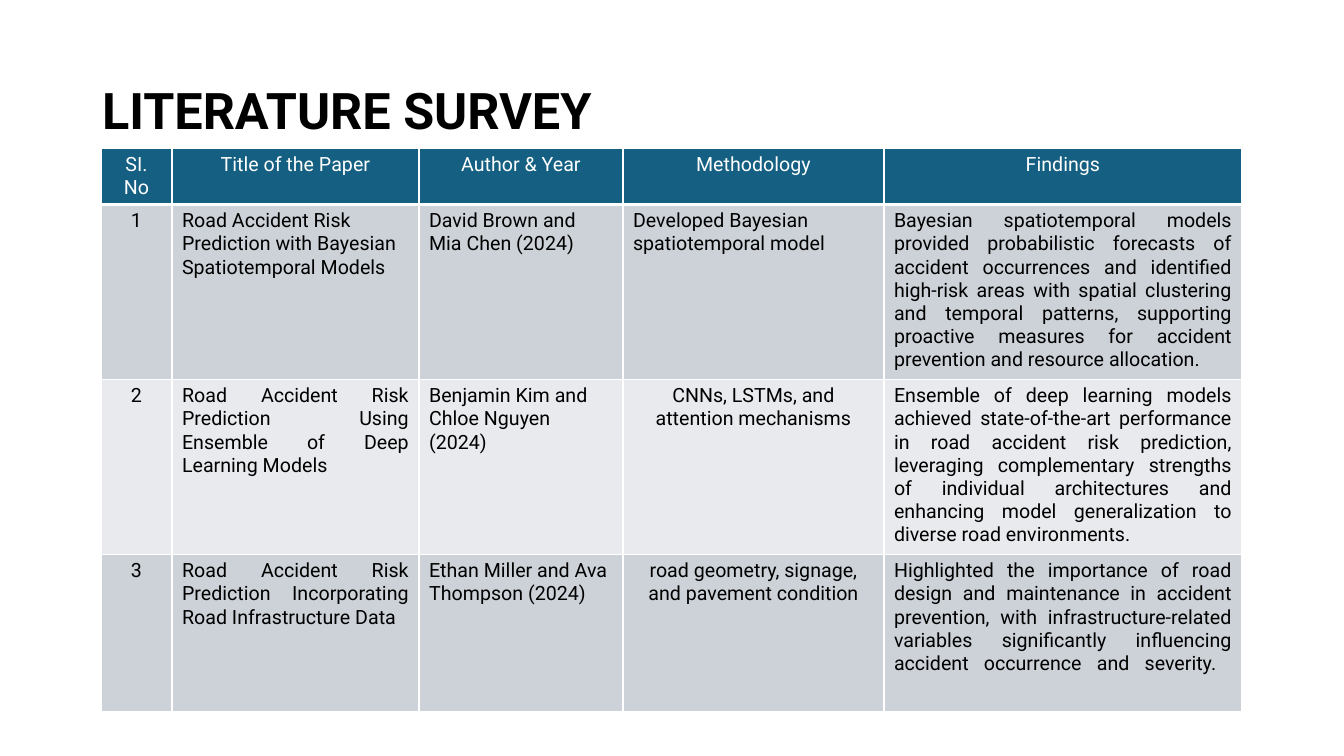
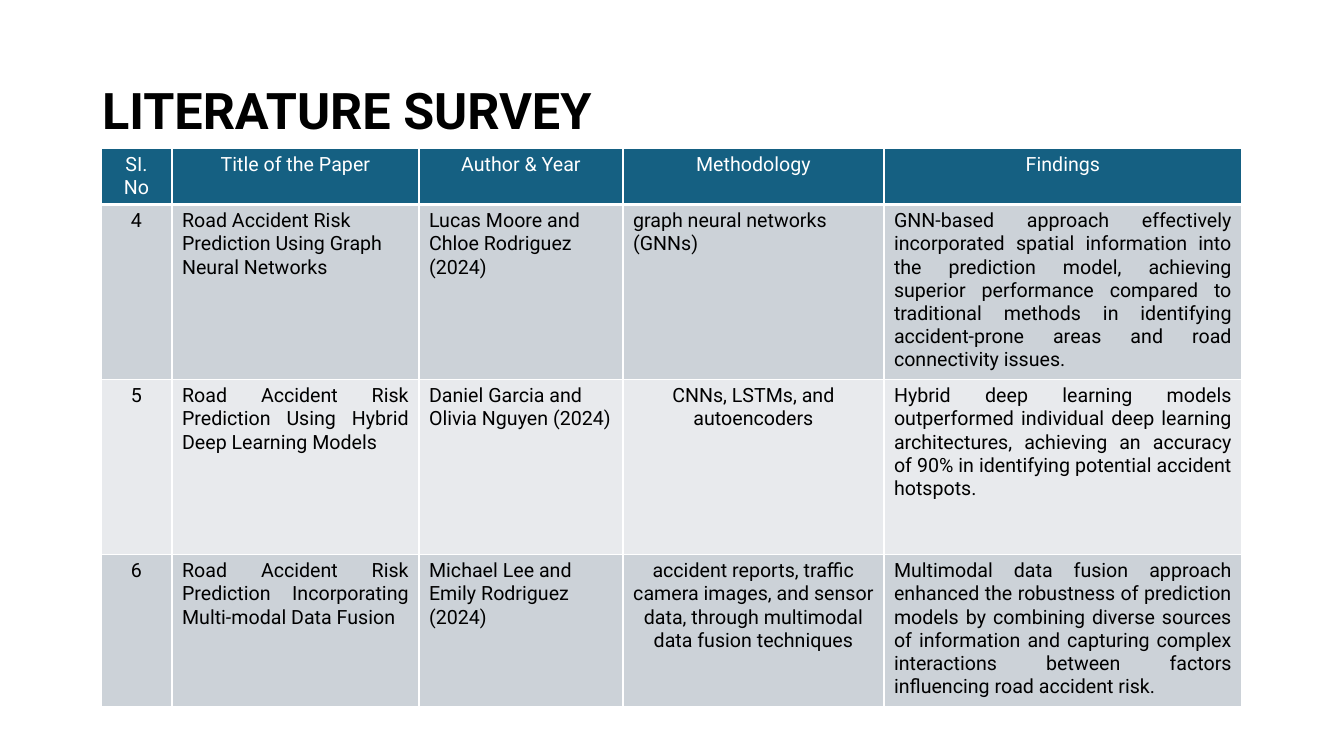
from pptx import Presentation
from pptx.dml.color import RGBColor
from pptx.enum.text import MSO_ANCHOR, MSO_AUTO_SIZE, PP_ALIGN
from pptx.oxml.ns import qn
from pptx.util import Emu, Pt
from lxml.etree import SubElement

SLIDE_WIDTH, SLIDE_HEIGHT = 1344, 756
EMU_PER_PX = 12192000 / SLIDE_WIDTH
COLORS = {
    "header": "156082",
    "dark band": "CCD2D8",
    "light band": "E8EAED",
    "white": "FFFFFF",
    "black": "000000",
}
TITLE_BOX = {"left": 92, "top": 40, "width": 1160, "height": 146}
TITLE_FONT = {"name": "Roboto", "size": Pt(36), "bold": True}
CELL_FONT = {"name": "Roboto", "size": Pt(14), "bold": False}

TABLE_LEFT, TABLE_TOP = 101, 148
COLUMN_WIDTHS = [71, 247, 204, 261, 358]
ROW_HEIGHTS = [56, 175, 175, 152]
HEADINGS = ["SI. No", "Title of the Paper", "Author & Year", "Methodology", "Findings"]

LEFT, CENTER, JUSTIFY = PP_ALIGN.LEFT, PP_ALIGN.CENTER, PP_ALIGN.JUSTIFY
ROW_ALIGNMENTS = [
    [CENTER] * 5,
    [CENTER, LEFT, LEFT, LEFT, JUSTIFY],
    [CENTER, JUSTIFY, LEFT, CENTER, JUSTIFY],
    [CENTER, JUSTIFY, LEFT, CENTER, JUSTIFY],
]
ROW_FILLS = ["header", "dark band", "light band", "dark band"]

SURVEY_PAGES = [
    [
        ["1", "Road Accident Risk Prediction with Bayesian Spatiotemporal Models",
         "David Brown and Mia Chen (2024)",
         "Developed Bayesian spatiotemporal model",
         "Bayesian spatiotemporal models provided probabilistic forecasts of accident "
         "occurrences and identified high-risk areas with spatial clustering and temporal "
         "patterns, supporting proactive measures for accident prevention and resource "
         "allocation."],
        ["2", "Road Accident Risk Prediction Using Ensemble of Deep Learning Models",
         "Benjamin Kim and Chloe Nguyen (2024)",
         "CNNs, LSTMs, and attention mechanisms",
         "Ensemble of deep learning models achieved state-of-the-art performance in road "
         "accident risk prediction, leveraging complementary strengths of individual "
         "architectures and enhancing model generalization to diverse road environments."],
        ["3", "Road Accident Risk Prediction Incorporating Road Infrastructure Data",
         "Ethan Miller and Ava Thompson (2024)",
         "road geometry, signage, and pavement condition",
         "Highlighted the importance of road design and maintenance in accident prevention, "
         "with infrastructure-related variables significantly influencing accident "
         "occurrence and severity. \v"],
    ],
    [
        ["4", "Road Accident Risk Prediction Using Graph Neural Networks",
         "Lucas Moore and Chloe Rodriguez (2024)",
         "graph neural networks (GNNs)",
         "GNN-based approach effectively incorporated spatial information into the "
         "prediction model, achieving superior performance compared to traditional methods "
         "in identifying accident-prone areas and road connectivity issues."],
        ["5", "Road Accident Risk Prediction Using Hybrid Deep Learning Models",
         "Daniel Garcia and Olivia Nguyen (2024)",
         "CNNs, LSTMs, and autoencoders",
         "Hybrid deep learning models outperformed individual deep learning architectures, "
         "achieving an accuracy of 90% in identifying potential accident hotspots."],
        ["6", "Road Accident Risk Prediction Incorporating Multi-modal Data Fusion",
         "Michael Lee and Emily Rodriguez (2024)",
         "accident reports, traffic camera images, and sensor data, through multimodal data "
         "fusion techniques",
         "Multimodal data fusion approach enhanced the robustness of prediction models by "
         "combining diverse sources of information and capturing complex interactions "
         "between factors influencing road accident risk."],
    ],
]


def px(length):
    return Emu(round(length * EMU_PER_PX))


def write_text(para, text, font, color, alignment):
    para.text = text
    para.alignment = alignment
    for span in para.runs:
        for name, value in font.items():
            setattr(span.font, name, value)
        span.font.color.rgb = RGBColor.from_string(COLORS[color])


deck = Presentation()
deck.slide_width, deck.slide_height = px(SLIDE_WIDTH), px(SLIDE_HEIGHT)

for papers in SURVEY_PAGES:
    page = deck.slides.add_slide(deck.slide_layouts[5])

    title = page.shapes.title
    for name, length in TITLE_BOX.items():
        setattr(title, name, px(length))
    title.text_frame.vertical_anchor = MSO_ANCHOR.MIDDLE
    title.text_frame.auto_size = MSO_AUTO_SIZE.NONE
    title_para = title.text_frame.paragraphs[0]
    write_text(title_para, "LITERATURE SURVEY", TITLE_FONT, "black", LEFT)
    title_para.line_spacing = 0.9

    table = page.shapes.add_table(
        len(ROW_HEIGHTS), len(COLUMN_WIDTHS), px(TABLE_LEFT), px(TABLE_TOP),
        px(sum(COLUMN_WIDTHS)), px(sum(ROW_HEIGHTS))).table
    for column, width in zip(table.columns, COLUMN_WIDTHS):
        column.width = px(width)
    for row, height in zip(table.rows, ROW_HEIGHTS):
        row.height = px(height)

    for row_index, texts in enumerate([HEADINGS] + papers):
        is_header = row_index == 0
        for column_index, text in enumerate(texts):
            cell = table.cell(row_index, column_index)
            write_text(cell.text_frame.paragraphs[0], text, CELL_FONT,
                       "white" if is_header else "black",
                       ROW_ALIGNMENTS[row_index][column_index])
            properties = cell._tc.get_or_add_tcPr()
            for side in "LRTB":
                weight = Pt(3 if is_header and side == "B" else 1)
                border = SubElement(properties, qn(f"a:ln{side}"), w=str(weight))
                border_fill = SubElement(border, qn("a:solidFill"))
                SubElement(border_fill, qn("a:srgbClr"), val=COLORS["white"])
            cell.fill.solid()
            cell.fill.fore_color.rgb = RGBColor.from_string(COLORS[ROW_FILLS[row_index]])

deck.save("out.pptx")
